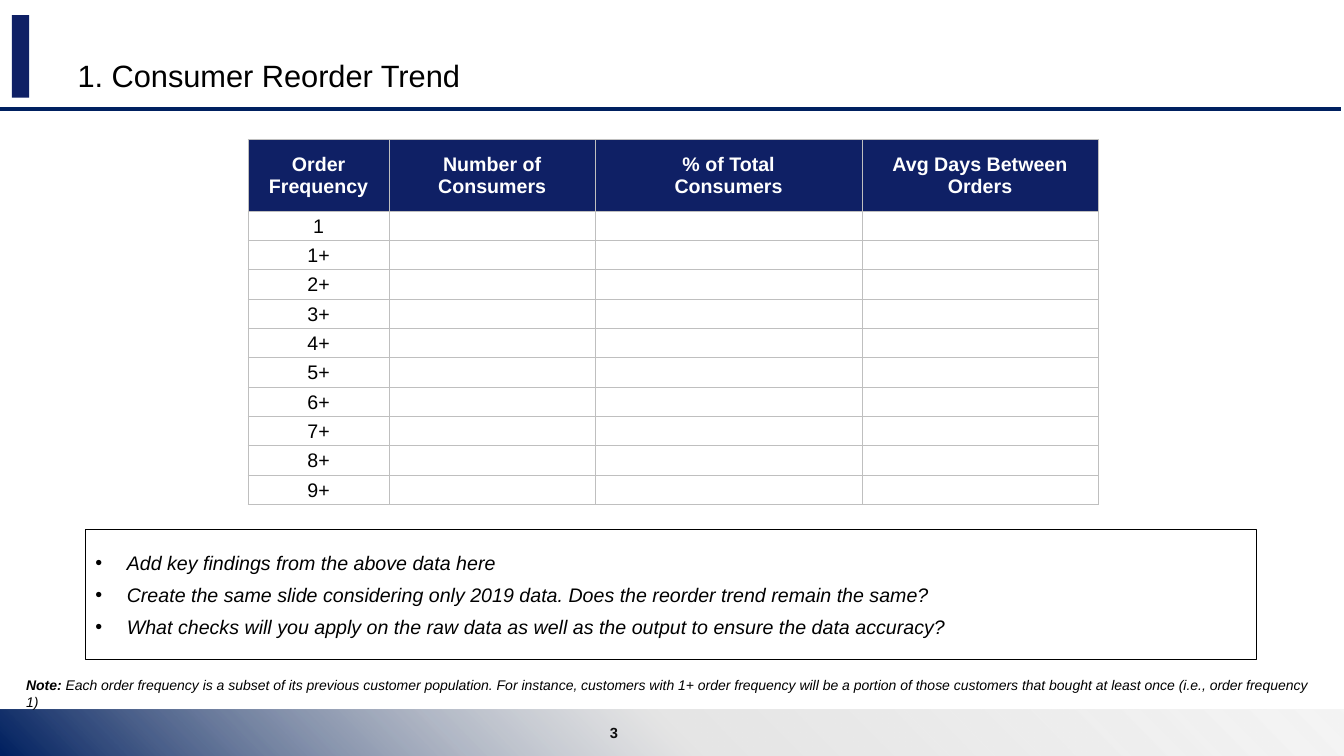
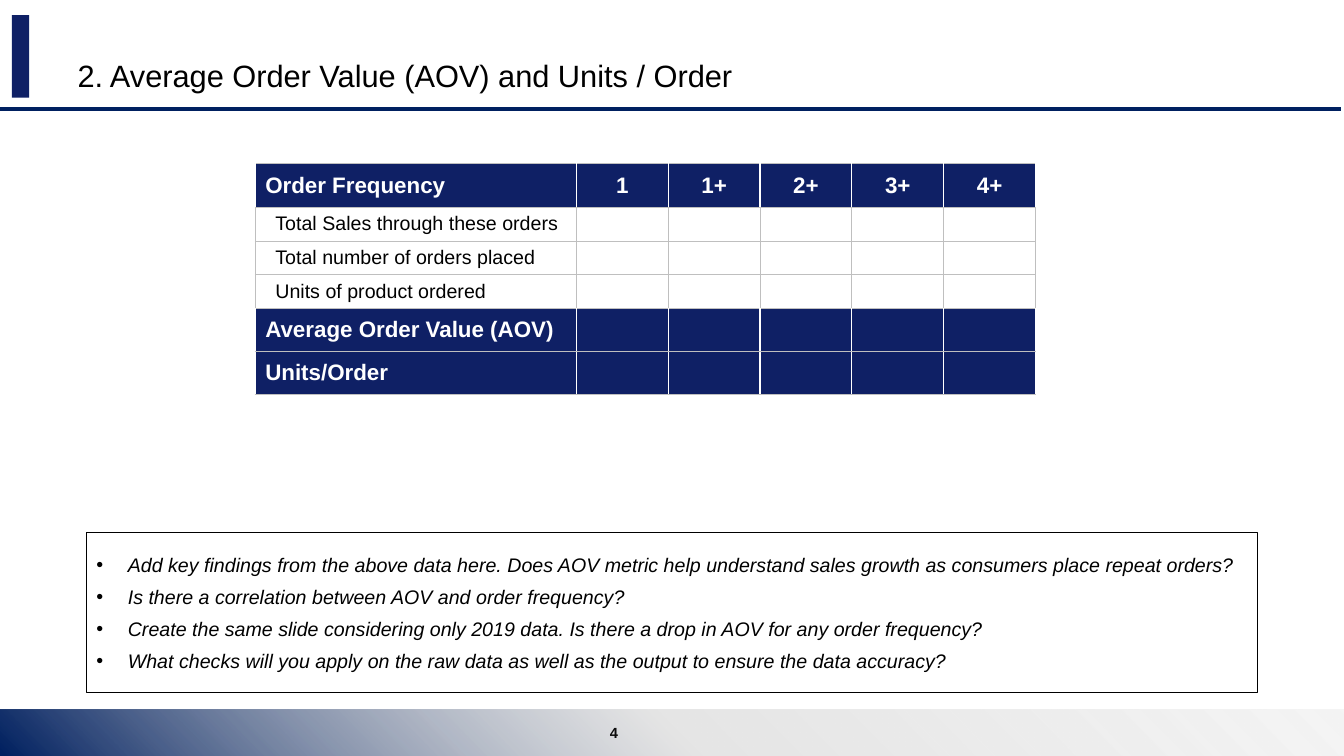
from dataclasses import dataclass

from lxml.etree import SubElement
from pptx import Presentation
from pptx.dml.color import RGBColor
from pptx.enum.shapes import MSO_CONNECTOR as Link, MSO_SHAPE as Shape
from pptx.enum.text import MSO_ANCHOR as Anchor, PP_ALIGN as Align
from pptx.oxml import parse_xml
from pptx.oxml.ns import nsdecls, qn
from pptx.util import Pt

FONT = "Arial"
HUES = {
    "navy": "0F2065",
    "rule": "002060",
    "grid": "BFBFBF",
    "mist": "CCCCCC",
    "white": "FFFFFF",
    "black": "000000",
    "page": "0D0D0D",
}
WIDE, HIGH = 960, 540


@dataclass
class Box:
    left: float
    top: float
    width: float
    height: float

    def place(self) -> tuple:
        return Pt(self.left), Pt(self.top), Pt(self.width), Pt(self.height)


@dataclass
class Grid:
    left: float
    top: float
    cols: list
    rows: list
    cells: list
    dark: set
    head: float
    pads: tuple
    inset: float
    split: tuple
    mid: bool


@dataclass
class Page:
    num: int
    title: str
    grid: Grid
    box: Box
    points: list
    note: str = ""


BAR = Box(8.6, 10.8, 12.2, 59)
BAND = Box(0, 506.8, WIDE, 33.2)
NUM = Box(421.2, 509, 27.4, 28.8)
TITLE = Box(48.2, 10.8, 866, 59.8)
NOTE = Box(11.5, 479.5, 939.6, 20.9)
CHECK = ("What checks will you apply on the raw data as well as "
         "the output to ensure the data accuracy?")

PAGES = [
    Page(
        3, "1. Consumer Reorder Trend",
        Grid(
            177.2, 99.8, [100.8, 147.2, 190.6, 168.6], [51] + [20.95] * 10,
            [["Order Frequency", "Number of Consumers",
              "% of Total\nConsumers", "Avg Days Between Orders"],
             ["1"]] + [[f"{n}+"] for n in range(1, 10)],
            {0}, 14, (0.7, 0.7, 0.7, 0), 0.7, ("grid", 0.75), True),
        Box(61, 378, 836.8, 93),
        ["Add key findings from the above data here",
         "Create the same slide considering only 2019 data. "
         "Does the reorder trend remain the same?",
         CHECK],
        "Each order frequency is a subset of its previous customer "
        "population. For instance, customers with 1+ order frequency will be "
        "a portion of those customers that bought at least once "
        "(i.e., order frequency 1)"),
    Page(
        4, "2. Average Order Value (AOV) and Units / Order",
        Grid(
            182.3, 116.8, [229.4] + [65.6] * 5,
            [31.3, 23.6, 23.6, 23.6, 30.6, 31.3],
            [["Order Frequency", "1", "1+", "2+", "3+", "4+"],
             ["Total Sales through these orders"],
             ["Total number of orders placed"],
             ["Units of product ordered"],
             ["Average Order Value (AOV)"],
             ["Units/Order"]],
            {0, 4, 5}, 16, (7.2, 3.6, 7.2, 3.6), 14.4, ("white", 1), False),
        Box(61.7, 380.4, 836.6, 114),
        ["Add key findings from the above data here. Does AOV metric help "
         "understand sales growth as consumers place repeat orders?",
         "Is there a correlation between AOV and order frequency?",
         "Create the same slide considering only 2019 data. "
         "Is there a drop in AOV for any order frequency?",
         CHECK]),
]


def tint(name: str) -> RGBColor:
    return RGBColor.from_string(HUES[name])


def style(para, size: float, hue: str = "black", bold: bool = False,
          slant: bool = False) -> None:
    for run in para.runs:
        font = run.font
        font.name, font.size = FONT, Pt(size)
        font.bold, font.italic = bold, slant
        font.color.rgb = tint(hue)


def block(slide, box: Box):
    shape = slide.shapes.add_shape(Shape.RECTANGLE, *box.place())
    shape.shadow.inherit = False
    shape.line.fill.background()
    return shape


def fade(shape) -> None:
    """Fill with a round gradient that spreads from the lower left corner."""
    stops = [(0, "rule", 100), (50, "mist", 50), (100, "mist", 20)]
    marks = "".join(
        f'<a:gs pos="{pos * 1000}"><a:srgbClr val="{HUES[hue]}">'
        f'<a:alpha val="{alpha * 1000}"/></a:srgbClr></a:gs>'
        for pos, hue, alpha in stops)
    shape.fill.background()
    props = shape._element.spPr
    props.replace(props.find(qn("a:noFill")), parse_xml(
        f'<a:gradFill {nsdecls("a")} rotWithShape="1"><a:gsLst>{marks}</a:gsLst>'
        '<a:path path="circle"><a:fillToRect t="100000" r="100000"/></a:path>'
        '</a:gradFill>'))


def frame(slide, page: Page) -> None:
    """Draw the title, bands and page number that all slides share."""
    bar = block(slide, BAR)
    bar.fill.solid()
    bar.fill.fore_color.rgb = tint("navy")
    rule = slide.shapes.add_connector(
        Link.STRAIGHT, Pt(0), Pt(77.8), Pt(957.6), Pt(77.8))
    rule.line.color.rgb, rule.line.width = tint("rule"), Pt(3)
    SubElement(rule._element.spPr, qn("a:effectLst"))
    fade(block(slide, BAND))

    text = slide.shapes.add_textbox(*NUM.place()).text_frame
    text.text, text.vertical_anchor = str(page.num), Anchor.MIDDLE
    text.paragraphs[0].alignment = Align.RIGHT
    style(text.paragraphs[0], 10.5, "page", bold=True)

    title = slide.shapes.title
    title.left, title.top, title.width, title.height = TITLE.place()
    text = title.text_frame
    text.text, text.vertical_anchor = page.title, Anchor.BOTTOM
    text.paragraphs[0].alignment = Align.LEFT
    style(text.paragraphs[0], 22)


def edge(cell, split: tuple) -> None:
    """Set the cell borders; split is the hue and width of upright ones."""
    props = cell._tc.get_or_add_tcPr()
    flat = ("grid", 0.75)
    for side, (hue, width) in zip("LRTB", (split, split, flat, flat)):
        line = SubElement(props, qn(f"a:ln{side}"), w=str(Pt(width)))
        fill = SubElement(line, qn("a:solidFill"))
        SubElement(fill, qn("a:srgbClr"), val=HUES[hue])


def table(slide, grid: Grid) -> None:
    box = Box(grid.left, grid.top, sum(grid.cols), sum(grid.rows))
    tab = slide.shapes.add_table(
        len(grid.rows), len(grid.cols), *box.place()).table
    tab.first_row = tab.horz_banding = False
    for col, width in zip(tab.columns, grid.cols):
        col.width = Pt(width)
    for r, (row, height) in enumerate(zip(tab.rows, grid.rows)):
        row.height = Pt(height)
        dark = r in grid.dark
        left, top, right, low = grid.pads
        for c, cell in enumerate(row.cells):
            edge(cell, grid.split if dark else ("grid", 0.75))
            cell.fill.solid()
            cell.fill.fore_color.rgb = tint("navy" if dark else "white")
            cell.vertical_anchor = Anchor.MIDDLE
            cell.margin_left = Pt(left if dark else grid.inset)
            cell.margin_top, cell.margin_right = Pt(top), Pt(right)
            cell.margin_bottom = Pt(low)
            if c < len(grid.cells[r]):
                cell.text_frame.text = grid.cells[r][c]
            for para in cell.text_frame.paragraphs:
                para.alignment = Align.CENTER if grid.mid or c else Align.LEFT
                style(para, grid.head if dark else 14,
                      "white" if dark else "black", bold=dark)
                if not para.runs:
                    SubElement(para._p, qn("a:endParaRPr"), sz="1400")


def points(slide, page: Page) -> None:
    shape = block(slide, page.box)
    shape.fill.background()
    shape.line.color.rgb, shape.line.width = tint("black"), Pt(0.75)
    text = shape.text_frame
    text.text, text.word_wrap = "\n".join(page.points), True
    text.vertical_anchor = Anchor.MIDDLE
    for para in text.paragraphs:
        para.alignment, para.space_before = Align.LEFT, Pt(6)
        style(para, 14, slant=True)
        props = para._p.get_or_add_pPr()
        props.set("marL", str(Pt(22.5)))
        props.set("indent", str(-Pt(22.5)))
        SubElement(props, qn("a:buFont"), typeface=FONT)
        SubElement(props, qn("a:buChar"), char="•")


def note(slide, words: str) -> None:
    text = slide.shapes.add_textbox(*NOTE.place()).text_frame
    text.word_wrap = True
    para = text.paragraphs[0]
    para.text = "Note: "
    para.add_run().text = words
    style(para, 10, slant=True)
    para.runs[0].font.bold = True


def main() -> None:
    deck = Presentation()
    deck.slide_width, deck.slide_height = Pt(WIDE), Pt(HIGH)
    for page in PAGES:
        slide = deck.slides.add_slide(deck.slide_layouts[5])
        frame(slide, page)
        table(slide, page.grid)
        points(slide, page)
        if page.note:
            note(slide, page.note)
    deck.save("out.pptx")


if __name__ == "__main__":
    main()
